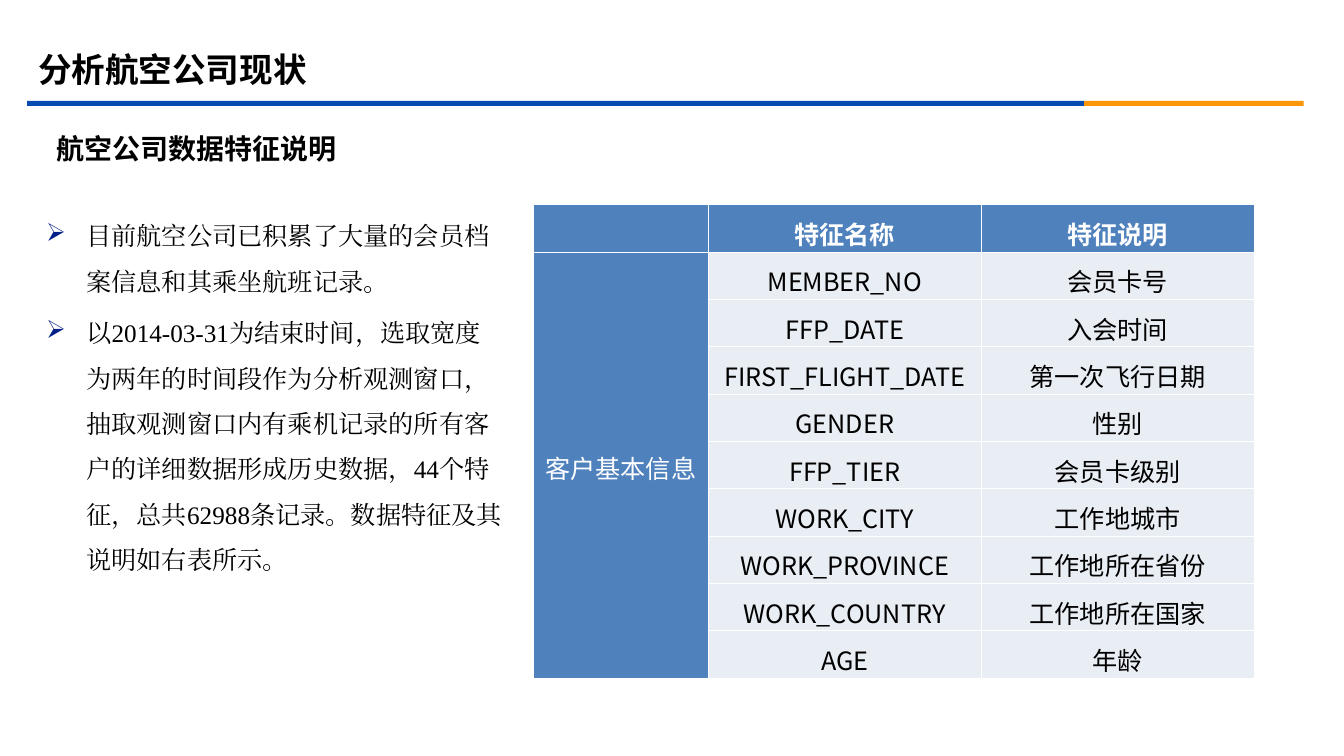
from pptx import Presentation
from pptx.dml.color import RGBColor
from pptx.enum import shapes, text
from pptx.oxml import parse_xml
from pptx.oxml.ns import nsdecls
from pptx.util import Inches, Pt

# Content
TITLE = "分析航空公司现状"
SUBTITLE = "航空公司数据特征说明"
POINTS = [
    "目前航空公司已积累了大量的会员档案信息和其乘坐航班记录。",
    "以2014-03-31为结束时间，选取宽度为两年的时间段作为分析观测窗口，"
    "抽取观测窗口内有乘机记录的所有客户的详细数据形成历史数据，"
    "44个特征，总共62988条记录。数据特征及其说明如右表所示。",
]
HEADER = ("", "特征名称", "特征说明")
GROUP = "客户基本信息"
FEATURES = [
    ("MEMBER_NO", "会员卡号"),
    ("FFP_DATE", "入会时间"),
    ("FIRST_FLIGHT_DATE", "第一次飞行日期"),
    ("GENDER", "性别"),
    ("FFP_TIER", "会员卡级别"),
    ("WORK_CITY", "工作地城市"),
    ("WORK_PROVINCE", "工作地所在省份"),
    ("WORK_COUNTRY", "工作地所在国家"),
    ("AGE", "年龄"),
]
COLUMN_WIDTHS = (1.74, 2.71, 2.71)
ROW_HEIGHT = 0.47

THEME = {
    "sans": "Noto Sans CJK SC", "serif": "Times New Roman",
    "title": 24, "subtitle": 20, "body": 18,
    "black": "000000", "white": "FFFFFF",
    "rule": "064BB2", "accent": "FB9708", "bullet": "032089",
    "head_fill": "4F81BD", "cell_fill": "E9EDF4",
}


def color(name):
    return RGBColor.from_string(THEME[name])


def write(frame, lines, font="sans", size="body", ink="black", bold=False,
          align=text.PP_ALIGN.LEFT, anchor=text.MSO_ANCHOR.MIDDLE,
          spacing=1.0, gap=0, bullet=None):
    frame.word_wrap = True
    frame.vertical_anchor = anchor
    for index, line in enumerate(lines):
        para = frame.paragraphs[0] if index == 0 else frame.add_paragraph()
        if bullet:
            props = para._p.get_or_add_pPr()
            props.set("marL", str(Inches(0.4)))
            props.set("indent", str(Inches(-0.4)))
            for xml in (
                f'<a:buClr {nsdecls("a")}><a:srgbClr val="{THEME["bullet"]}"/></a:buClr>',
                f'<a:buChar {nsdecls("a")} char="{bullet}"/>',
            ):
                props.append(parse_xml(xml))
        para.alignment = align
        para.line_spacing = spacing
        if index:
            para.space_before = Pt(gap)
        span = para.add_run()
        span.text = line
        span.font.name = THEME[font]
        span.font.size = Pt(THEME[size])
        span.font.bold = bold
        span.font.color.rgb = color(ink)
        span.font._element.find("{*}latin").addnext(
            parse_xml(f'<a:ea {nsdecls("a")} typeface="{THEME[font]}"/>'))


def add_text(page, area, lines, **style):
    box = page.shapes.add_textbox(*map(Inches, area))
    write(box.text_frame, lines, **style)


def add_bar(page, area, fill):
    bar = page.shapes.add_shape(shapes.MSO_SHAPE.RECTANGLE, *map(Inches, area))
    bar.shadow.inherit = False
    bar.fill.solid()
    bar.fill.fore_color.rgb = color(fill)
    bar.line.fill.background()


def style_cell(cell, fill):
    cell.margin_left = cell.margin_right = Inches(0.03)
    cell.margin_top = cell.margin_bottom = Inches(0.05)
    cell.vertical_anchor = text.MSO_ANCHOR.MIDDLE
    for side in "LRTB":
        cell._tc.get_or_add_tcPr().append(parse_xml(
            f'<a:ln{side} {nsdecls("a")} w="{Pt(0.45)}"><a:solidFill>'
            f'<a:srgbClr val="{THEME["white"]}"/></a:solidFill></a:ln{side}>'))
    cell.fill.solid()
    cell.fill.fore_color.rgb = color(fill)


def add_feature_table(page, left, top):
    rows = [HEADER] + [(GROUP if i == 0 else "", *feature)
                       for i, feature in enumerate(FEATURES)]
    table = page.shapes.add_table(
        len(rows), len(HEADER), Inches(left), Inches(top),
        Inches(sum(COLUMN_WIDTHS)), Inches(ROW_HEIGHT * len(rows))).table
    table.first_row = table.horz_banding = False
    for column, width in zip(table.columns, COLUMN_WIDTHS):
        column.width = Inches(width)
    for r, row in enumerate(rows):
        table.rows[r].height = Inches(ROW_HEIGHT)
        for c, label in enumerate(row):
            cell = table.cell(r, c)
            heading = r == 0 or c == 0
            style_cell(cell, "head_fill" if heading else "cell_fill")
            if label:
                write(cell.text_frame, [label], bold=r == 0,
                      ink="white" if heading else "black",
                      align=text.PP_ALIGN.CENTER, spacing=1.15)
    table.cell(1, 0).merge(table.cell(len(FEATURES), 0))


def main():
    deck = Presentation()
    deck.slide_width, deck.slide_height = Inches(13.34), Inches(7.5)
    page = deck.slides.add_slide(deck.slide_layouts[6])

    # Heading and two-colour rule
    add_bar(page, (0.27, 1, 10.49, 0.05), "rule")
    add_bar(page, (10.76, 1, 2.18, 0.05), "accent")
    add_text(page, (0.28, 0.39, 12, 0.58), [TITLE], size="title", bold=True)
    add_text(page, (0.46, 1.24, 12.15, 0.47), [SUBTITLE], size="subtitle", bold=True)

    # Explanation and feature table
    add_text(page, (0.36, 1.99, 4.73, 4.74), POINTS, font="serif", spacing=1.5,
             gap=4.5, bullet="➢", anchor=text.MSO_ANCHOR.TOP)
    add_feature_table(page, 5.29, 2.03)
    deck.save("out.pptx")


if __name__ == "__main__":
    main()
